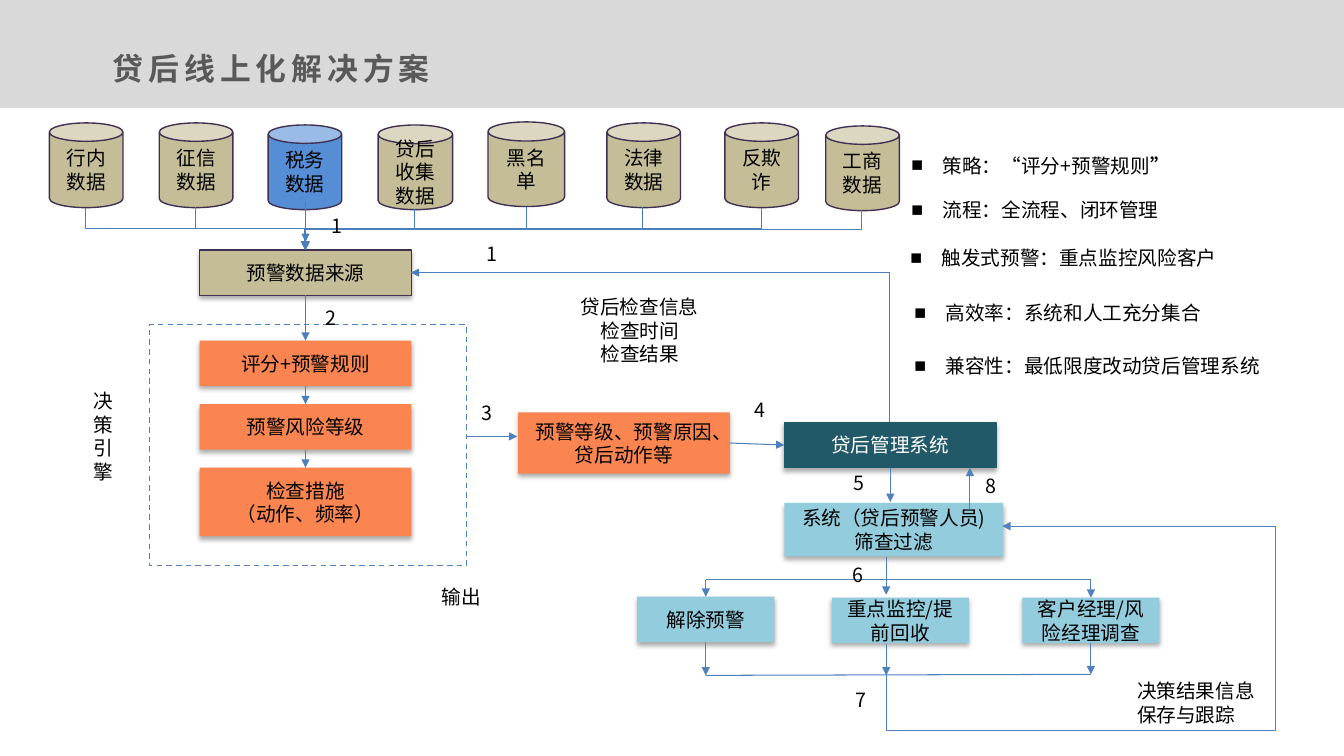
from dataclasses import dataclass
from typing import Optional

import lxml.etree
import pptx
import pptx.dml.color
import pptx.enum.dml
import pptx.enum.shapes
import pptx.enum.text
import pptx.oxml.ns
import pptx.util

EMU_PER_PX = 9144
FONT = "Noto Sans CJK SC"
BLACK, WHITE, GREY = "000000", "FFFFFF", "D9D9D9"
TAN, ORANGE, SKY, TEAL = "C4BD97", "FA8550", "93CDDD", "215968"
OUTLINE, BLUE, FLOW_BLUE = "403152", "4F81BD", "4B7EBC"
SHAPES = pptx.enum.shapes.MSO_SHAPE
CONNECTORS = pptx.enum.shapes.MSO_CONNECTOR
CENTER = pptx.enum.text.PP_ALIGN.CENTER
LEFT = pptx.enum.text.PP_ALIGN.LEFT
MIDDLE = pptx.enum.text.MSO_ANCHOR.MIDDLE
TOP, SIDE_LEFT, BOTTOM, SIDE_RIGHT = range(4)


@dataclass
class Box:
    name: str
    text: str
    left: int
    top: int
    width: int
    height: int
    fill: Optional[str]
    line: Optional[str] = None
    kind: int = SHAPES.RECTANGLE
    shadow: bool = True
    color: str = BLACK


@dataclass
class Line:
    start: tuple[int, int]
    end: tuple[int, int]
    arrow: bool = True
    begin_at: Optional[tuple[str, int]] = None
    end_at: Optional[tuple[str, int]] = None
    color: str = BLUE


@dataclass
class Note:
    text: str
    left: int
    top: int
    width: int = 39
    height: int = 36
    wrap: bool = True
    align: int = LEFT


@dataclass
class Bullet:
    text: str
    left: int
    top: int
    width: int
    bold_tail: str = ""


def can(text: str, left: int, top: int, width: int = 73, fill: str = TAN) -> Box:
    return Box(text, text, left, top, width, 84, fill, OUTLINE, SHAPES.CAN, False)


CANS = [
    can("行内数据", 49, 122), can("征信数据", 158, 122), can("税务数据", 266, 124, fill="558ED5"),
    can("贷后收集数据", 375, 124, 74), can("黑名单", 484, 121, 76), can("法律数据", 602, 122),
    can("反欺诈", 719, 122), can("工商数据", 819, 125),
]
BOXES = [
    Box("source", "预警数据来源", 198, 248, 210, 45, TAN, OUTLINE),
    Box("rules", "评分+预警规则", 198, 338, 210, 45, ORANGE),
    Box("level", "预警风险等级", 198, 401, 210, 45, ORANGE),
    Box("measures", "检查措施\n（动作、频率）", 198, 464, 210, 68, ORANGE),
    Box("output", "预警等级、预警原因、贷后动作等", 514, 409, 210, 61, ORANGE),
    Box("engine", "", 148, 322, 315, 239, None, BLUE, shadow=False),
    Box("system", "贷后管理系统", 778, 419, 210, 45, TEAL, TEAL, SHAPES.FLOWCHART_PROCESS, color=WHITE),
    Box("screening", "系统（贷后预警人员)筛查过滤", 778, 499, 217, 53, SKY),
    Box("release", "解除预警", 632, 592, 136, 45, SKY),
    Box("survey", "客户经理/风险经理调查", 1014, 593, 136, 45, SKY),
    Box("monitor", "重点监控/提前回收", 825, 593, 136, 45, SKY),
]
LINES = [
    Line((303, 200), (303, 240), color=FLOW_BLUE),
    Line((303, 293), (303, 338), True, ("source", BOTTOM), ("rules", TOP), FLOW_BLUE),
    Line((303, 383), (303, 401), True, ("rules", BOTTOM), ("level", TOP), FLOW_BLUE),
    Line((303, 446), (303, 464), True, ("level", BOTTOM), ("measures", TOP), FLOW_BLUE),
    Line((463, 433), (513, 433)),
    Line((724, 440), (778, 440), True, ("output", SIDE_RIGHT), ("system", SIDE_LEFT)),
    Line((883, 464), (883, 498), True, ("system", BOTTOM)),
    Line((700, 575), (1082, 575), False),
    Line((700, 575), (700, 592), True, None, ("release", TOP)),
    Line((1082, 575), (1082, 593), True, None, ("survey", TOP)),
    Line((879, 553), (879, 590)),
    Line((700, 670), (1082, 669), False),
    Line((700, 637), (700, 670), True, ("release", BOTTOM)),
    Line((879, 639), (879, 670)),
    Line((1082, 638), (1082, 669), True, ("survey", BOTTOM)),
    Line((879, 725), (1265, 725), False),
    Line((879, 669), (879, 725), False),
    Line((1265, 522), (994, 522)),
    Line((1265, 522), (1265, 725), False),
    Line((962, 506), (962, 464)),
]
NOTES = [
    Note("决策引擎", 83, 381, 39, 104),
    Note("输出", 428, 575, 59, 34, False),
    Note("贷后检查信息\n检查时间\n检查结果", 566, 288, 137, 81, False, CENTER),
    Note("决策结果信息\n保存与跟踪", 1118, 669, 137, 57, False),
    Note("1", 319, 207), Note("2", 313, 299), Note("3", 468, 393), Note("4", 738, 390),
    Note("5", 837, 462), Note("6", 836, 554), Note("7", 839, 678), Note("8", 968, 465),
    Note("1", 473, 235),
]
BULLETS = [
    Bullet("策略：“评分+预警规则", 894, 145, 359, "”"),
    Bullet("流程：全流程、闭环管理", 894, 189, 359),
    Bullet("触发式预警：重点监控风险客户", 893, 237, 384),
    Bullet("高效率：系统和人工充分集合", 897, 291, 384),
    Bullet("兼容性：最低限度改动贷后管理系统", 897, 344, 384),
]


def px(*lengths: int) -> list[int]:
    return [pptx.util.Emu(length * EMU_PER_PX) for length in lengths]


def rgb(color: str) -> pptx.dml.color.RGBColor:
    return pptx.dml.color.RGBColor.from_string(color)


def add_xml(parent, tag: str, **attributes: str):
    return lxml.etree.SubElement(parent, pptx.oxml.ns.qn(tag), attributes)


def format_text(frame, color: str = BLACK, size: int = 14, align: int = LEFT) -> None:
    for para in frame.paragraphs:
        para.alignment = align
        for span in para.runs:
            span.font.size = pptx.util.Pt(size)
            span.font.color.rgb = rgb(color)
            span.font.name = FONT
            add_xml(span.font._element, "a:ea", typeface=FONT)


def add_box(page, box: Box):
    shape = page.shapes.add_shape(box.kind, *px(box.left, box.top, box.width, box.height))
    if box.fill:
        shape.fill.solid()
        shape.fill.fore_color.rgb = rgb(box.fill)
    else:
        shape.fill.background()
    if box.line:
        shape.line.color.rgb = rgb(box.line)
        shape.line.width = pptx.util.Pt(1)
    else:
        shape.line.fill.background()
    shape.shadow.inherit = False
    if box.shadow:
        effects = shape.element.spPr.find(pptx.oxml.ns.qn("a:effectLst"))
        outer = add_xml(effects, "a:outerShdw", blurRad="44450", dist="27940", dir="5400000")
        add_xml(add_xml(outer, "a:srgbClr", val=BLACK), "a:alpha", val="32000")
    if box.text:
        shape.text_frame.text = box.text
        shape.text_frame.word_wrap = True
        shape.text_frame.vertical_anchor = MIDDLE
        format_text(shape.text_frame, box.color, align=CENTER)
    return shape


def style_connector(connector, color: str, arrow: bool = True) -> None:
    connector.line.color.rgb = rgb(color)
    connector.line.width = pptx.util.Pt(0.75)
    properties = connector.element.spPr
    if arrow:
        add_xml(properties.find(pptx.oxml.ns.qn("a:ln")), "a:tailEnd", type="triangle")
    add_xml(properties, "a:effectLst")


def add_line(page, line: Line, shapes: dict) -> None:
    connector = page.shapes.add_connector(CONNECTORS.STRAIGHT, *px(*line.start, *line.end))
    if line.begin_at:
        connector.begin_connect(shapes[line.begin_at[0]], line.begin_at[1])
    if line.end_at:
        connector.end_connect(shapes[line.end_at[0]], line.end_at[1])
    style_connector(connector, line.color, line.arrow)


def add_elbow(page, start: tuple[int, int], end: tuple[int, int], preset: str = "bentConnector3") -> None:
    """Draw an arrow that leaves vertically, as a quarter-turned elbow."""
    (x1, y1), (x2, y2) = start, end
    width, height = abs(y2 - y1), abs(x2 - x1)
    left, top = (x1 + x2 - width) // 2, (y1 + y2 - height) // 2
    connector = page.shapes.add_connector(CONNECTORS.ELBOW, *px(left, top, left + width, top + height))
    properties = connector.element.spPr
    properties.find(pptx.oxml.ns.qn("a:prstGeom")).set("prst", preset)
    upward, rightward = y2 < y1, x2 > x1
    properties.xfrm.set("rot", "16200000" if upward or rightward else "5400000")
    if upward != rightward:
        properties.xfrm.set("flipV" if upward else "flipH", "1")
    style_connector(connector, FLOW_BLUE)


def add_note(page, note: Note):
    box = page.shapes.add_textbox(*px(note.left, note.top, note.width, note.height))
    box.text_frame.text = note.text
    box.text_frame.word_wrap = note.wrap
    format_text(box.text_frame, align=note.align)
    return box


def add_bullet(page, bullet: Bullet) -> None:
    box = add_note(page, Note(bullet.text, bullet.left, bullet.top, bullet.width))
    para = box.text_frame.paragraphs[0]
    if bullet.bold_tail:
        span = para.add_run()
        span.text = bullet.bold_tail
        span.font.bold = True
        format_text(box.text_frame)
    para.line_spacing = 1.1
    para.space_after = pptx.util.Pt(3.5)
    properties = para._p.get_or_add_pPr()
    indent = px(31)[0]
    properties.set("marL", str(indent))
    properties.set("indent", str(-indent))
    add_xml(properties, "a:buFont", typeface="Arial")
    add_xml(properties, "a:buChar", char="■")


def add_title(page) -> None:
    frame = page.shapes.add_textbox(*px(100, 44, 1200, 47)).text_frame
    frame.text = "贷后线上化解决方案"
    frame.word_wrap = True
    frame.vertical_anchor = MIDDLE
    frame.margin_left, frame.margin_top, frame.margin_right, frame.margin_bottom = px(12, 6, 12, 6)
    format_text(frame, "595959", 22)
    font = frame.paragraphs[0].runs[0].font
    font.bold = True
    font._element.set("spc", "360")


def main() -> None:
    deck = pptx.Presentation()
    deck.slide_width, deck.slide_height = px(1333, 750)
    page = deck.slides.add_slide(deck.slide_layouts[6])
    page.background.fill.solid()
    page.background.fill.fore_color.rgb = rgb(GREY)
    add_title(page)
    add_box(page, Box("panel", "", 0, 107, 1333, 643, WHITE, shadow=False))
    shapes = {box.name: add_box(page, box) for box in CANS + BOXES}
    shapes["engine"].line.dash_style = pptx.enum.dml.MSO_LINE.DASH
    for store in CANS:
        if store.name != "税务数据":
            add_elbow(page, (store.left + store.width // 2, store.top + store.height), (303, 248))
    add_elbow(page, (883, 419), (408, 271), "bentConnector2")
    for line in LINES:
        add_line(page, line, shapes)
    for note in NOTES:
        add_note(page, note)
    for bullet in BULLETS:
        add_bullet(page, bullet)
    deck.save("out.pptx")


if __name__ == "__main__":
    main()
